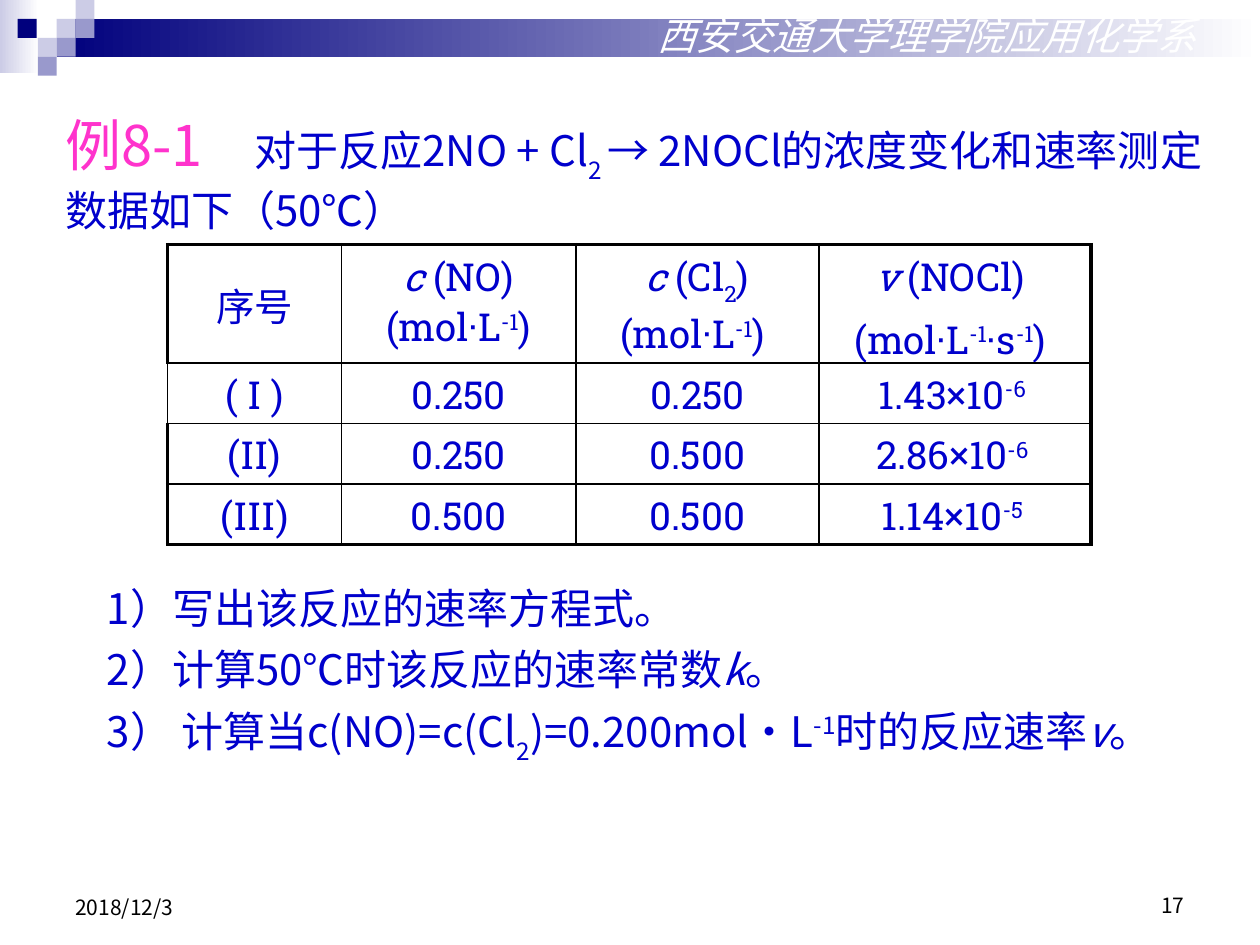
from lxml import etree
from pptx import Presentation
from pptx.dml.color import RGBColor
from pptx.enum.shapes import MSO_SHAPE
from pptx.enum.text import MSO_ANCHOR, MSO_AUTO_SIZE, PP_ALIGN
from pptx.oxml.ns import qn
from pptx.util import Inches, Pt

RECT = MSO_SHAPE.RECTANGLE
TOP, MIDDLE, BOTTOM = MSO_ANCHOR.TOP, MSO_ANCHOR.MIDDLE, MSO_ANCHOR.BOTTOM
LEFT, CENTER, RIGHT = PP_ALIGN.LEFT, PP_ALIGN.CENTER, PP_ALIGN.RIGHT
JUSTIFY = PP_ALIGN.JUSTIFY
GROW = MSO_AUTO_SIZE.SHAPE_TO_FIT_TEXT

SANS, SLAB = "Noto Sans CJK SC", "Roboto Slab"
NAVY, LILAC, VIOLET = "00007D", "CCCCE6", "9999CC"
BLUE, PINK, BLACK, WHITE = "0000CC", "FF33CC", "000000", "FFFFFF"


def color(value):
    return RGBColor.from_string(value)


def sub(text):
    return text, {"baseline": -30000}


def sup(text):
    return text, {"baseline": 30000}


def italic(text):
    return text, {"italic": True}


class SlideWriter:
    def __init__(self, slide):
        self.slide = slide

    def block(self, left, top, width, height, start, end=None):
        shape = self.slide.shapes.add_shape(
            RECT, Inches(left), Inches(top), Inches(width), Inches(height))
        shape.shadow.inherit = False
        shape.line.fill.background()
        if end is None:
            shape.fill.solid()
            shape.fill.fore_color.rgb = color(start)
            return
        shape.fill.gradient()
        shape.fill.gradient_angle = 0
        for stop, position, value in zip(shape.fill.gradient_stops, (0, 1), (start, end)):
            stop.position = position
            stop.color.rgb = color(value)

    def paragraph(self, paragraph, parts, size, ink, font=SANS, align=LEFT, before=0, tab=None):
        paragraph.alignment = align
        if before:
            paragraph.space_before = Pt(before)
        if tab:
            stops = etree.SubElement(paragraph._p.get_or_add_pPr(), qn("a:tabLst"))
            etree.SubElement(stops, qn("a:tab"), pos=str(Inches(tab)), algn="l")
        sizes = {part[1].get("size", size) for part in parts if isinstance(part, tuple)}
        inks = {part[1].get("ink", ink) for part in parts if isinstance(part, tuple)}
        paragraph.font.name = font
        etree.SubElement(paragraph.font._element, qn("a:ea"), typeface=font)
        if sizes <= {size}:
            paragraph.font.size = Pt(size)
        if inks <= {ink}:
            paragraph.font.color.rgb = color(ink)
        for part in parts:
            text, style = part if isinstance(part, tuple) else (part, {})
            run = paragraph.add_run()
            run.text = text
            if not sizes <= {size}:
                run.font.size = Pt(style.get("size", size))
            if not inks <= {ink}:
                run.font.color.rgb = color(style.get("ink", ink))
            if "italic" in style:
                run.font.italic = True
            if "baseline" in style:
                run.font._element.set("baseline", str(style["baseline"]))

    def paragraphs(self, frame, lines, size, ink, before=0, aligns=(LEFT,), **style):
        for index, parts in enumerate(lines):
            target = frame.add_paragraph() if index else frame.paragraphs[0]
            self.paragraph(target, parts, size, ink, before=before if index else 0,
                           align=aligns[index % len(aligns)], **style)

    def text(self, left, top, width, height, lines, size, ink, anchor=TOP, grow=False, **style):
        box = self.slide.shapes.add_textbox(
            Inches(left), Inches(top), Inches(width), Inches(height))
        frame = box.text_frame
        frame.word_wrap = True
        frame.vertical_anchor = anchor
        if grow:
            frame.auto_size = GROW
        self.paragraphs(frame, lines, size, ink, **style)

    def border(self, cell, side, points):
        line = etree.SubElement(cell._tc.get_or_add_tcPr(), qn(f"a:ln{side}"), w=str(Pt(points)))
        fill = etree.SubElement(line, qn("a:solidFill"))
        etree.SubElement(fill, qn("a:srgbClr"), val=BLACK)

    def table(self, left, top, widths, heights, rows, size, ink, thin=1, thick=2.25):
        table = self.slide.shapes.add_table(
            len(rows), len(widths), Inches(left), Inches(top),
            Inches(sum(widths)), Inches(sum(heights))).table
        table.first_row = table.horz_banding = False
        for column, width in zip(table.columns, widths):
            column.width = Inches(width)
        for row, height in zip(table.rows, heights):
            row.height = Inches(height)
        last_row, last_column = len(rows) - 1, len(widths) - 1
        for r, row in enumerate(rows):
            for c, lines in enumerate(row):
                cell = table.cell(r, c)
                outer = {"L": c == 0 and r != 1, "R": c == last_column,
                         "T": r == 0, "B": r == last_row}
                for side, is_outer in outer.items():
                    self.border(cell, side, thick if is_outer else thin)
                cell.fill.background()
                cell.vertical_anchor = TOP if r == 0 and c else MIDDLE
                if r == 0:
                    cell.margin_bottom = 0
                self.paragraphs(cell.text_frame, lines, size, ink, font=SLAB,
                                aligns=(CENTER,), before=7)


def main():
    deck = Presentation()
    deck.slide_width, deck.slide_height = Inches(10), Inches(7.5)
    writer = SlideWriter(deck.slides.add_slide(deck.slide_layouts[6]))

    writer.block(0, 0, 0.31, 0.58, LILAC, WHITE)
    writer.block(0.45, 0.15, 9.55, 0.3, NAVY, WHITE)
    mosaic = [(0.45, 0.15, LILAC), (0.6, 0, LILAC), (0.6, 0.15, VIOLET), (0.3, 0.3, LILAC),
              (0.14, 0.15, NAVY), (0.45, 0.3, VIOLET), (0.3, 0.45, VIOLET)]
    for left, top, tint in mosaic:
        writer.block(left, top, 0.15, 0.15, tint)

    writer.text(7.17, 6.83, 2.33, 0.5, [["17"]], 12, BLACK, anchor=BOTTOM, aligns=(RIGHT,))
    writer.text(0.5, 6.83, 2.33, 0.52, [["2018/12/3"]], 12, BLACK, anchor=BOTTOM)

    problem = [("例8-1", {"size": 32, "ink": PINK}), "\t对于反应2NO + Cl", sub("2 "),
               "→ 2NOCl的浓度变化和速率测定数据如下（50℃）"]
    writer.text(0.42, 0.83, 9.25, 1.04, [problem], 24, BLUE, grow=True, tab=1.5)

    header = [
        [["序号"]],
        [[italic("c "), "(NO) (mol·L", sup("-1"), ")"]],
        [[italic("c "), "(Cl", sub("2"), ") (mol·L", sup("-1"), ") "]],
        [[italic("v "), "(NOCl) "], ["(mol·L", sup("-1"), "·s", sup("-1"), ") "]],
    ]
    trials = [("( I )", "0.250", "0.250", "1.43×10", "-6 "),
              ("(II)", "0.250", "0.500", "2.86×10", "-6 "),
              ("(III)", "0.500", "0.500", "1.14×10", "-5 ")]
    measurements = [[[[number]], [[nitric]], [[chlorine]], [[rate, sup(power)]]]
                    for number, nitric, chlorine, rate, power in trials]
    writer.table(1.33, 1.94, [1.38, 1.86, 1.93, 2.16], [0.94, 0.48, 0.48, 0.48],
                 [header, *measurements], 22, BLUE)

    questions = [
        ["1）写出该反应的速率方程式。"],
        ["2）计算50℃时该反应的速率常数", italic("k"), "。"],
        ["3） 计算当c(NO)=c(Cl", sub("2"), ")=0.200mol·L", sup("-1"),
         "时的反应速率", italic("v"), "。"],
    ]
    writer.text(0.75, 4.57, 8.5, 1.72, questions, 24, BLUE, grow=True, before=6.5,
                aligns=(JUSTIFY, JUSTIFY, LEFT))

    department = [italic("西安交通大学理学院应用化学系")]
    writer.text(5.12, 0.05, 4.88, 0.47, [department], 22, WHITE, grow=True)

    deck.save("out.pptx")


if __name__ == "__main__":
    main()
